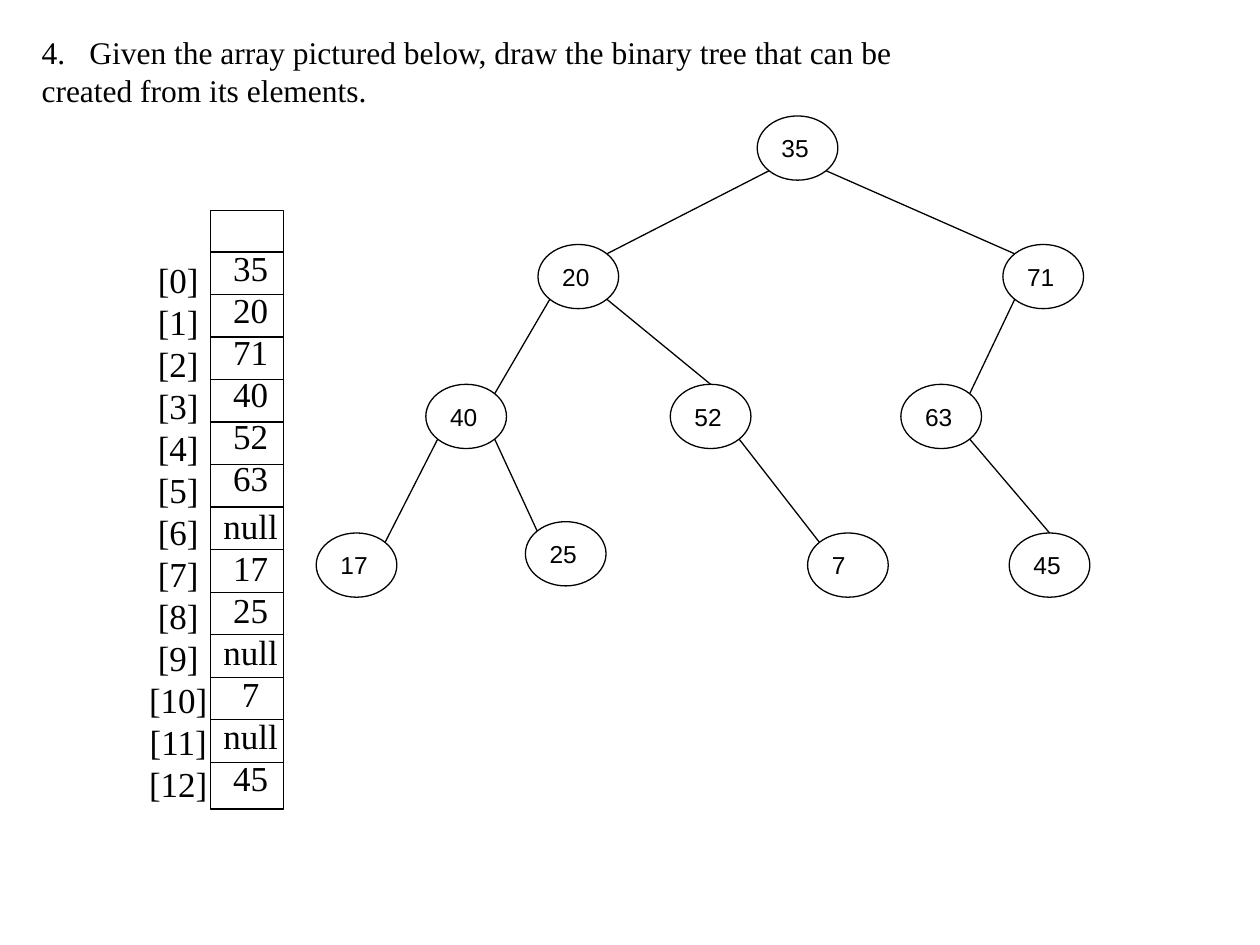
from lxml import etree
from pptx import Presentation
from pptx import util as u
from pptx.dml.color import RGBColor
from pptx.enum import shapes, text
from pptx.oxml import ns

BLACK = RGBColor(0, 0, 0)
SERIF = "Times New Roman"
SANS = "Arial"
QUESTION = [
    "Given the array pictured below, draw the binary tree that can be",
    "created from its elements.",
]
ELEMENTS = ["35", "20", "71", "40", "52", "63", "null",
            "17", "25", "null", "7", "null", "45"]
NODE_PLACES = {
    "35": (3.5, 0), "20": (1.76, 1.02), "71": (5.45, 1.02),
    "40": (0.87, 2.13), "52": (2.81, 2.13), "63": (4.64, 2.13),
    "17": (0, 3.31), "25": (1.66, 3.22), "7": (3.9, 3.31), "45": (5.5, 3.31),
}
JOINED_AT_TOP = {"52", "45"}
NODE_WIDTH, NODE_HEIGHT = 0.64, 0.51
DIAGONAL = 0.3536


def write(frame, lines, font=SERIF, size=20, align=text.PP_ALIGN.LEFT,
          anchor=text.MSO_ANCHOR.TOP, spacing=None, inset=0.05):
    frame.word_wrap = True
    frame.auto_size = text.MSO_AUTO_SIZE.NONE
    frame.vertical_anchor = anchor
    frame.margin_left = frame.margin_right = u.Inches(0.1)
    frame.margin_top = frame.margin_bottom = u.Inches(inset)
    for number, line in enumerate(lines):
        paragraph = frame.add_paragraph() if number else frame.paragraphs[0]
        paragraph.alignment = align
        if spacing:
            paragraph.line_spacing = u.Pt(spacing)
        run = paragraph.add_run()
        run.text = line
        run.font.name = font
        run.font.size = u.Pt(size)
        run.font.color.rgb = BLACK
    return frame.paragraphs


def draw_line(canvas, start, end):
    line = canvas.add_connector(shapes.MSO_CONNECTOR.STRAIGHT,
                                *map(u.Inches, (*start, *end)))
    line.line.color.rgb = BLACK
    line.line.width = u.Pt(0.75)
    etree.SubElement(line._element.spPr, ns.qn("a:effectLst"))


def draw_outline(canvas, kind, left, top, width, height):
    outline = canvas.add_shape(kind, *map(u.Inches, (left, top, width, height)))
    outline.shadow.inherit = False
    outline.fill.background()
    outline.line.color.rgb = BLACK
    outline.line.width = u.Pt(0.75)
    return outline


def add_question(slide, left, top, width, height):
    question = slide.shapes.title
    question.left, question.top = u.Inches(left), u.Inches(top)
    question.width, question.height = u.Inches(width), u.Inches(height)
    numbered, _ = write(question.text_frame, QUESTION, size=18)
    properties = numbered._p.get_or_add_pPr()
    properties.set("marL", str(u.Inches(0.38)))
    properties.set("indent", str(u.Inches(-0.38)))
    etree.SubElement(properties, ns.qn("a:buFont"), typeface=SERIF)
    etree.SubElement(properties, ns.qn("a:buAutoNum"),
                     type="arabicPeriod", startAt="4")


def add_array(slide, left, top, width, height):
    array = slide.shapes.add_group_shape().shapes
    draw_outline(array, shapes.MSO_SHAPE.RECTANGLE, left, top, width, height)
    for row in range(len(ELEMENTS)):
        y = top + 0.33 + row * 0.3375
        draw_line(array, (left, y), (left + width, y))

    indexes = array.add_textbox(*map(u.Inches, (left - 0.59, top + 0.33, 0.67, 4.48)))
    write(indexes.text_frame, [f"[{i}]" for i in range(len(ELEMENTS))],
          align=text.PP_ALIGN.CENTER, spacing=24)

    values = slide.shapes.add_textbox(*map(u.Inches, (left, top + 0.24, 0.64, 4.48)))
    rows = write(values.text_frame, ELEMENTS,
                 align=text.PP_ALIGN.CENTER, spacing=24)
    rows[ELEMENTS.index("null")].space_before = u.Pt(3)


def add_tree(slide, left, top):
    def point(value, across, down):
        x, y = NODE_PLACES[value]
        return (left + x + NODE_WIDTH * (0.5 + across),
                top + y + NODE_HEIGHT * (0.5 + down))

    for value, (x, y) in NODE_PLACES.items():
        node = draw_outline(slide.shapes, shapes.MSO_SHAPE.OVAL,
                            left + x, top + y, NODE_WIDTH, NODE_HEIGHT)
        write(node.text_frame, [value], font=SANS, size=14,
              anchor=text.MSO_ANCHOR.MIDDLE, inset=0.1)

    for index, child in enumerate(ELEMENTS):
        if index == 0 or child == "null":
            continue
        parent = ELEMENTS[(index - 1) // 2]
        side = -DIAGONAL if index % 2 else DIAGONAL
        end = (0, -0.5) if child in JOINED_AT_TOP else (-side, -DIAGONAL)
        draw_line(slide.shapes, point(parent, side, DIAGONAL), point(child, *end))


def main():
    deck = Presentation()
    deck.slide_width, deck.slide_height = u.Inches(10), u.Inches(7.5)
    slide = deck.slides.add_slide(deck.slide_layouts[5])
    add_question(slide, 0.23, 0.21, 7.02, 0.71)
    add_array(slide, 1.67, 1.67, 0.58, 4.75)
    add_tree(slide, 2.51, 0.92)
    deck.save("out.pptx")


main()
